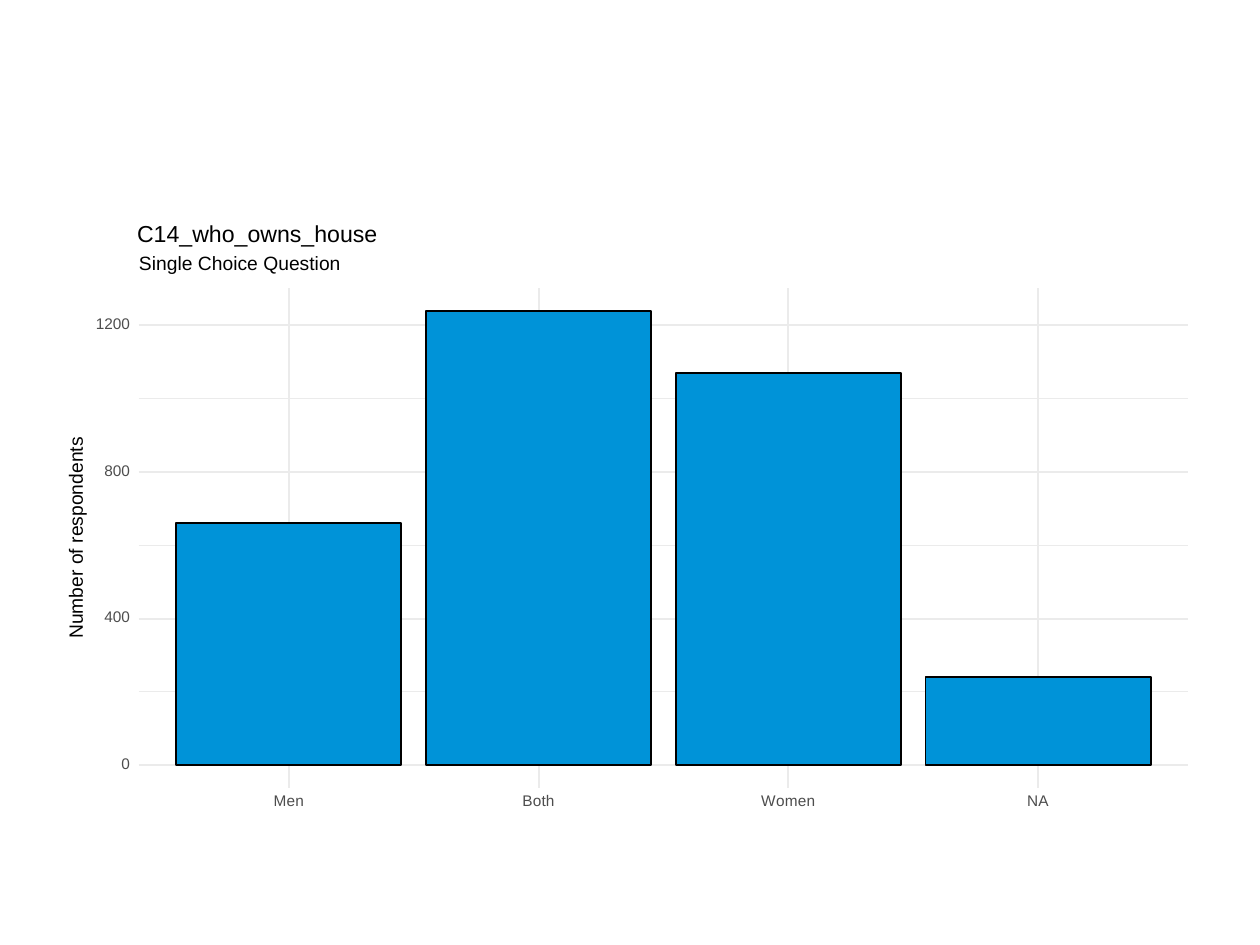
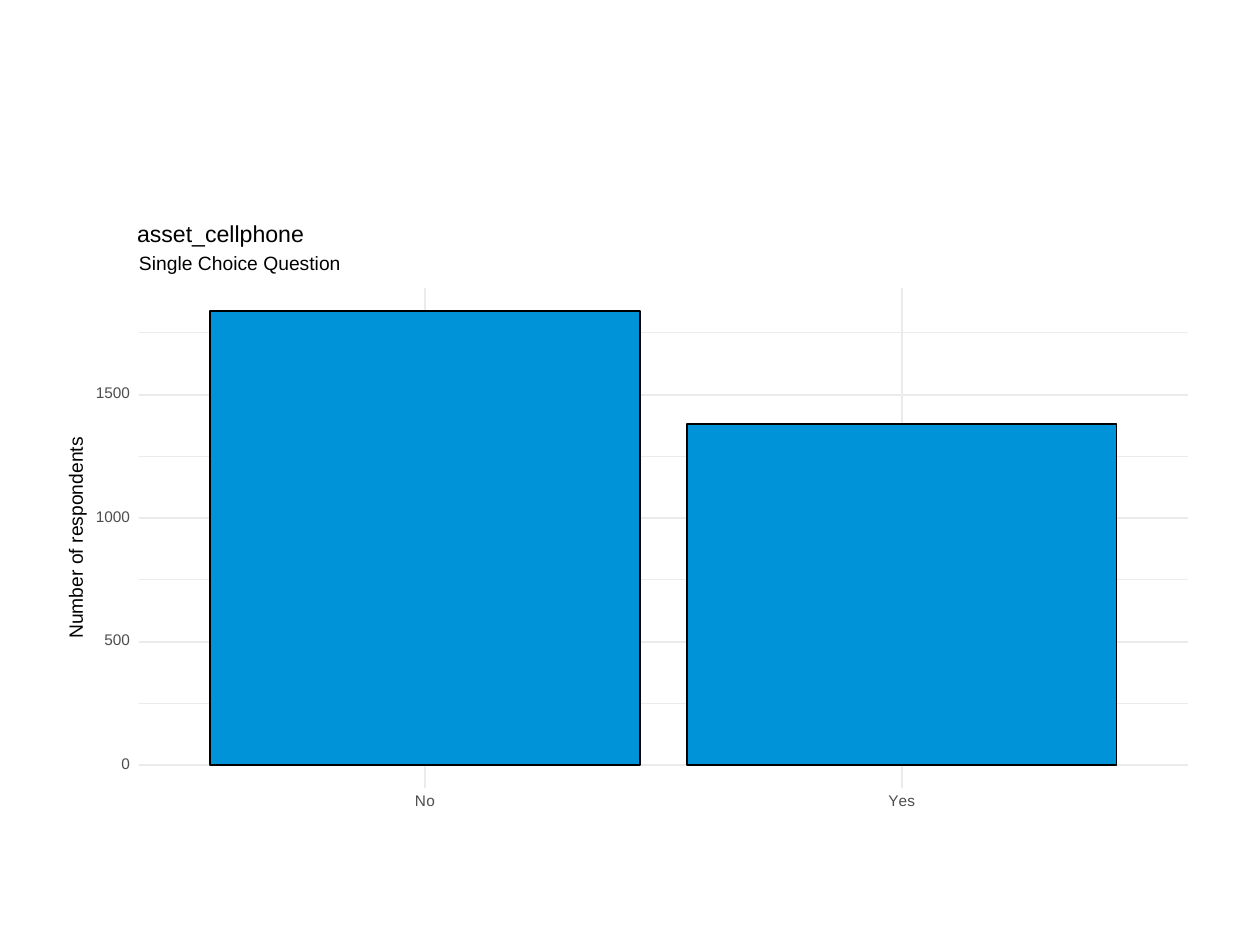
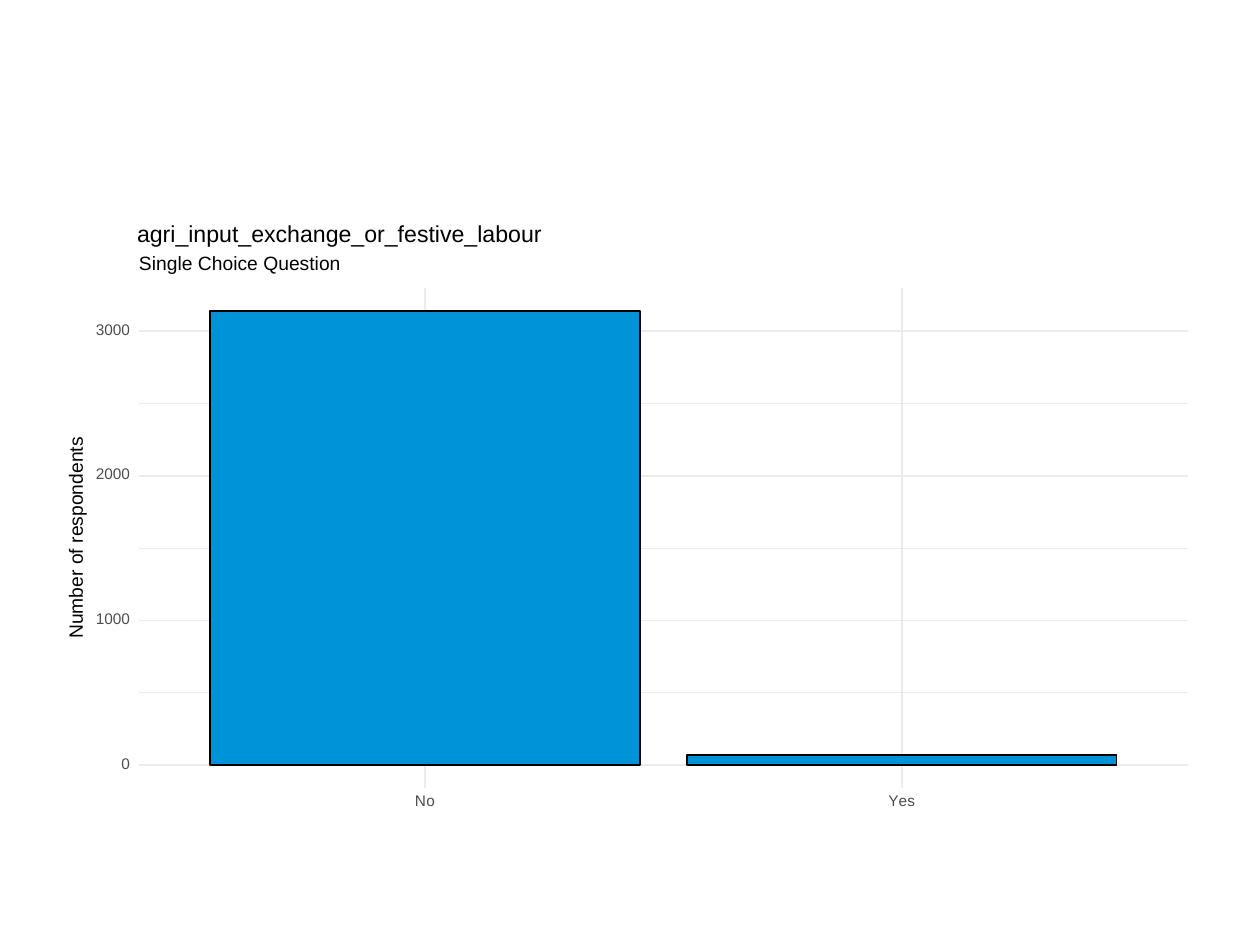
"""Build three survey slides, each a bar chart of the answers to one question."""
from lxml.etree import SubElement
from pptx import Presentation
from pptx.chart.data import CategoryChartData
from pptx.dml.color import RGBColor
from pptx.enum.chart import XL_CHART_TYPE, XL_TICK_LABEL_POSITION as LABELS, XL_TICK_MARK
from pptx.enum.shapes import MSO_CONNECTOR, MSO_SHAPE
from pptx.enum.text import MSO_ANCHOR, PP_ALIGN
from pptx.oxml import parse_xml
from pptx.oxml.ns import nsdecls, qn
from pptx.util import Pt

PX = 914400 / 126
WHITE = RGBColor(0xFF, 0xFF, 0xFF)
BLACK = RGBColor(0, 0, 0)
BLUE = RGBColor(0x00, 0x93, 0xD8)
GRID = RGBColor(0xEB, 0xEB, 0xEB)
GREY = RGBColor(0x4D, 0x4D, 0x4D)
FONT = "Arial"
LABEL_SIZE = 8.8
THIN, THICK = 0.53, 1.07
LEFT, TOP, WIDTH, HEIGHT = 139, 288, 1049, 500
RIGHT, BOTTOM = LEFT + WIDTH, TOP + HEIGHT
CHART_HEIGHT = HEIGHT + 33
LABEL_RISE = 8
CLEAR = f'<c:spPr {nsdecls("c", "a")}><a:noFill/><a:ln><a:noFill/></a:ln></c:spPr>'

QUESTIONS = [
    ("C14_who_owns_house", 400, {"Men": 660, "Both": 1240, "Women": 1070, "NA": 240}),
    ("asset_cellphone", 500, {"No": 1840, "Yes": 1380}),
    ("agri_input_exchange_or_festive_labour", 1000, {"No": 3140, "Yes": 70}),
]


def px(*lengths):
    return [round(length * PX) for length in lengths]


def add_text(slide, text, box, size=11, color=BLACK, align=PP_ALIGN.LEFT, rotation=0):
    label = slide.shapes.add_textbox(*px(*box))
    label.rotation = rotation
    frame = label.text_frame
    frame.word_wrap = True
    frame.vertical_anchor = MSO_ANCHOR.MIDDLE
    frame.margin_left = frame.margin_right = frame.margin_top = frame.margin_bottom = 0
    paragraph = frame.paragraphs[0]
    paragraph.alignment = align
    paragraph.line_spacing = Pt(size)
    run = paragraph.add_run()
    run.text = text
    run.font.name, run.font.size = FONT, Pt(size)
    run.font.color.rgb = color


prs = Presentation()
prs.slide_width, prs.slide_height = px(1260, 945)

for question, step, answers in QUESTIONS:
    slide = prs.slides.add_slide(prs.slide_layouts[6])
    panel = slide.shapes.add_shape(MSO_SHAPE.RECTANGLE, *px(63, 221, 1134, 624))
    panel.shadow.inherit = False
    panel.fill.solid()
    panel.fill.fore_color.rgb = WHITE
    panel.line.color.rgb = WHITE
    panel.line.width = Pt(0.75)

    peak = max(answers.values())
    lowest, highest = round(-0.05 * peak), round(1.05 * peak)
    unit = HEIGHT / (highest - lowest)
    axis_floor = round(lowest + LABEL_RISE / unit)
    plot_height = (highest - axis_floor) * unit
    zero = BOTTOM + lowest * unit
    pitch = WIDTH / (len(answers) + 0.2)
    ticks = {value: zero - value * unit for value in range(0, highest, step)}
    halfway = [zero - value * unit for value in range(step // 2, highest, step)]
    centres = [LEFT + (index + 0.6) * pitch for index in range(len(answers))]

    grid = [(LEFT, y, RIGHT, y, THIN) for y in halfway]
    grid += [(LEFT, y, RIGHT, y, THICK) for y in ticks.values()]
    grid += [(x, BOTTOM, x, TOP, THICK) for x in centres]
    for *ends, weight in grid:
        gridline = slide.shapes.add_connector(MSO_CONNECTOR.STRAIGHT, *px(*ends))
        gridline.line.color.rgb = GRID
        gridline.line.width = Pt(weight)
        SubElement(gridline._element.spPr, qn("a:effectLst"))

    data = CategoryChartData()
    data.categories = list(answers)
    data.add_series("Number of respondents", list(answers.values()))
    plot_box = px(LEFT + 0.1 * pitch, TOP, len(answers) * pitch, CHART_HEIGHT)
    chart = slide.shapes.add_chart(XL_CHART_TYPE.COLUMN_CLUSTERED, *plot_box, data).chart
    chart.has_title = chart.has_legend = False
    chart.font.name, chart.font.size = FONT, Pt(LABEL_SIZE)
    chart.font.color.rgb = GREY

    bars = chart.plots[0]
    bars.gap_width = 11
    bars.vary_by_categories = False
    respondents = bars.series[0]
    respondents.invert_if_negative = False
    respondents.format.fill.solid()
    respondents.format.fill.fore_color.rgb = BLUE
    respondents.format.line.color.rgb = BLACK
    respondents.format.line.width = Pt(THICK)

    chart.value_axis.minimum_scale = axis_floor
    chart.value_axis.maximum_scale = highest
    chart.value_axis.major_unit = step
    for axis, position in ((chart.category_axis, LABELS.LOW), (chart.value_axis, LABELS.NONE)):
        axis.has_major_gridlines = False
        axis.major_tick_mark = axis.minor_tick_mark = XL_TICK_MARK.NONE
        axis.tick_label_position = position
        axis.format.line.fill.background()

    space = chart.element
    area = space.find(qn("c:chart")).find(qn("c:plotArea"))
    for old in area.findall(qn("c:layout")):
        area.remove(old)
    area.insert(0, parse_xml(
        f'<c:layout {nsdecls("c")}><c:manualLayout><c:layoutTarget val="inner"/>'
        '<c:xMode val="edge"/><c:yMode val="edge"/><c:x val="0"/><c:y val="0"/>'
        f'<c:w val="1"/><c:h val="{plot_height / CHART_HEIGHT:.4f}"/></c:manualLayout></c:layout>'))
    area.append(parse_xml(CLEAR))
    space.find(qn("c:chart")).addnext(parse_xml(CLEAR))

    for value, y in ticks.items():
        add_text(slide, str(value), (69, y - 6, 61, 11),
                 size=LABEL_SIZE, color=GREY, align=PP_ALIGN.RIGHT)
    add_text(slide, "Number of respondents", (-28, 529, 210, 18),
             align=PP_ALIGN.CENTER, rotation=270)
    add_text(slide, "Single Choice Question", (139, 256, 210, 18))
    add_text(slide, question, (137, 225, 420, 21), size=13.2)

prs.save("out.pptx")
